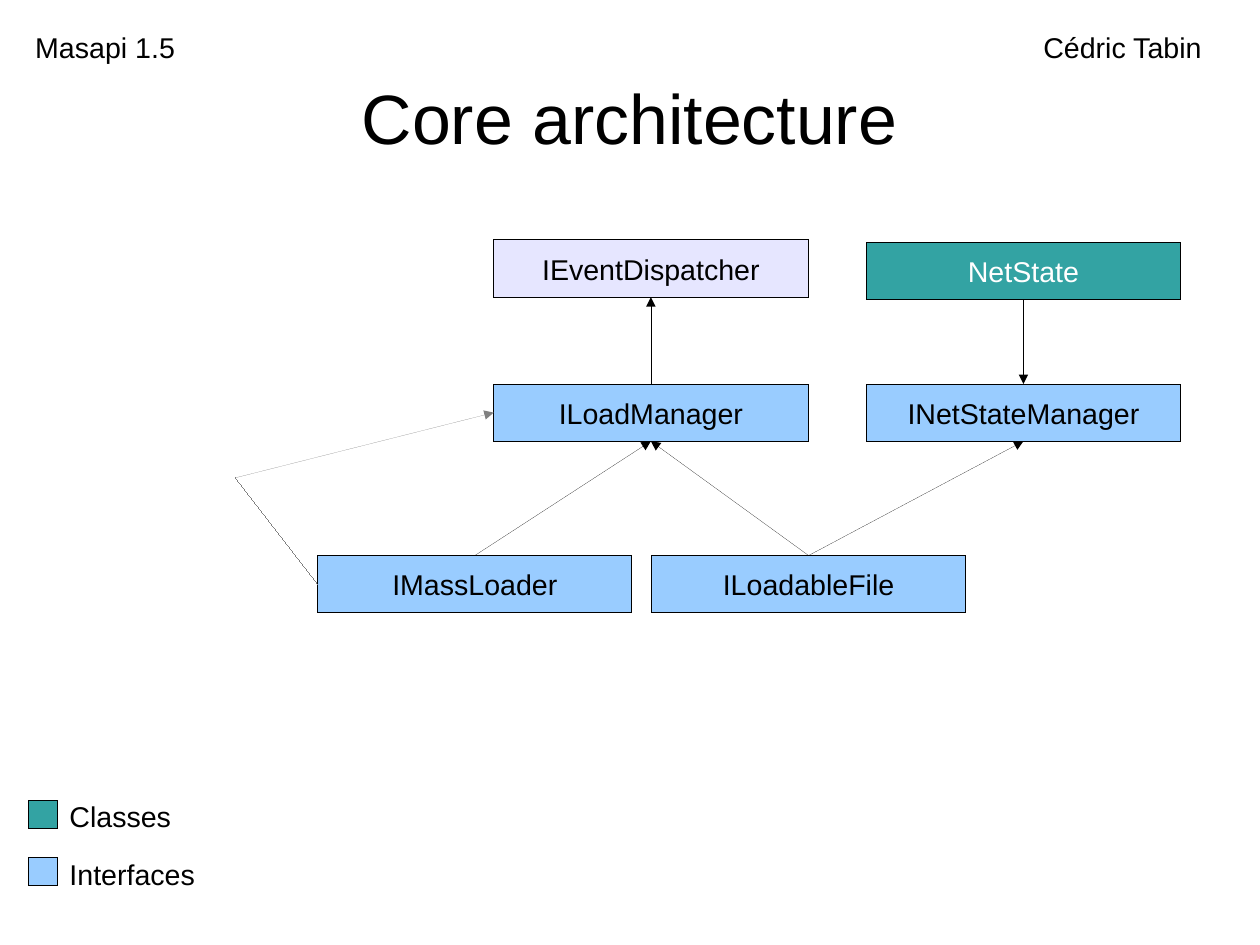
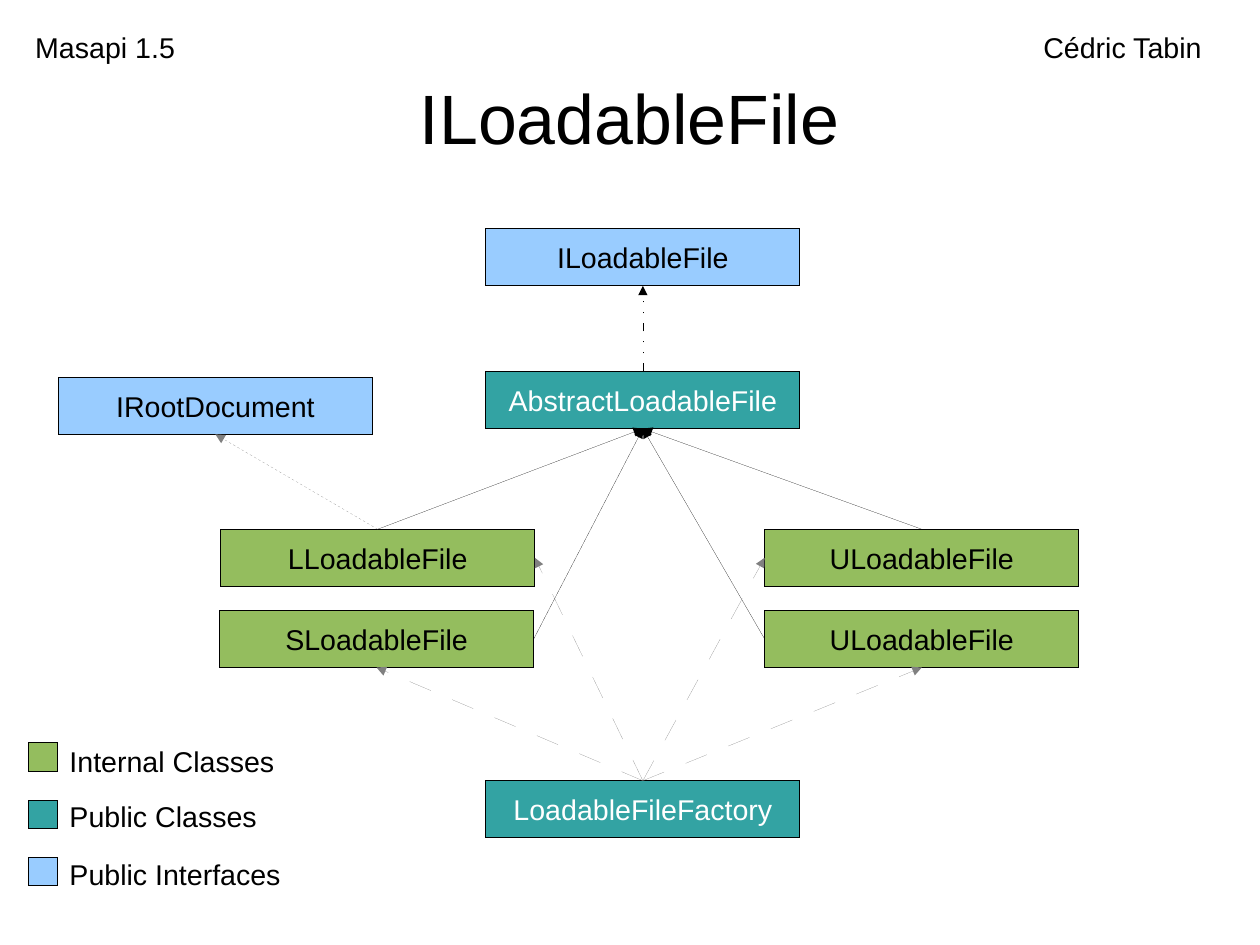
from lxml.etree import SubElement
from pptx import Presentation
from pptx.dml.color import RGBColor
from pptx.enum.shapes import MSO_CONNECTOR, MSO_SHAPE
from pptx.enum.text import MSO_ANCHOR, PP_ALIGN
from pptx.oxml.ns import qn
from pptx.util import Emu, Pt

PX = 9144  # one px is a hundredth of an inch
SLIDE_WIDTH, SLIDE_HEIGHT = Emu(10080625), Emu(7559675)  # 28 by 21 cm
BOX_WIDTH, BOX_HEIGHT = 275, 50
TEXT_HEIGHT, SWATCH = 38, 25
LEGEND_BOTTOM, LEGEND_STEP = 750, 50
LEGEND_LABEL_TOPS = (745, 694, 646)  # lowest row first
FONT = "Arial"
COLORS = {
    "black": "000000",
    "white": "FFFFFF",
    "grey": "808080",
    "event": "E6E6FF",
    "interface": "99CCFF",
    "public": "33A3A3",
    "internal": "94BD5E",
}
# Dash and gap lengths in percent of the line width
DASHES = {
    "dash_dot_dot": [(700, 800), (100, 800), (100, 800)],
    "dotted": [(200, 200)],
    "long": [(1900, 1900)],
}
TOP, LEFT, BOTTOM, RIGHT = range(4)  # connection sites of a rectangle


def px(*lengths):
    return [length * PX for length in lengths]


def color(name):
    return RGBColor.from_string(COLORS[name])


def set_hairline(shape, name):
    """Colour the outline and return its XML; width 0 must be written out."""
    shape.line.color.rgb = color(name)
    outline = shape.line._get_or_add_ln()
    outline.set("w", "0")
    return outline


def write(shape, text, size=18, name="black", align=PP_ALIGN.LEFT):
    shape.text_frame.word_wrap = True
    paragraph = shape.text_frame.paragraphs[0]
    paragraph.text = text
    paragraph.alignment = align
    paragraph.font.name = FONT
    paragraph.font.size = Pt(size)
    paragraph.font.color.rgb = color(name)


def add_label(slide, text, left, top, width):
    label = slide.shapes.add_textbox(*px(left, top, width, TEXT_HEIGHT))
    write(label, text)


def add_rectangle(slide, fill, left, top, width, height):
    shape = slide.shapes.add_shape(MSO_SHAPE.RECTANGLE, *px(left, top, width, height))
    shape.shadow.inherit = False
    shape.fill.solid()
    shape.fill.fore_color.rgb = color(fill)
    set_hairline(shape, "black")
    return shape


def add_box(slide, text, fill, left, top):
    box = add_rectangle(slide, fill, left, top, BOX_WIDTH, BOX_HEIGHT)
    box.text_frame.vertical_anchor = MSO_ANCHOR.MIDDLE
    text_color = "white" if fill == "public" else "black"
    write(box, text, name=text_color, align=PP_ALIGN.CENTER)
    return box


def add_line(slide, start, end, name="black", dash=None, arrow=True):
    """Each end is a (box, site) pair or an (x, y) point."""
    points = [px(*spot) if isinstance(spot[0], int) else (0, 0) for spot in (start, end)]
    line = slide.shapes.add_connector(MSO_CONNECTOR.STRAIGHT, *points[0], *points[1])
    if not isinstance(start[0], int):
        line.begin_connect(*start)
    if not isinstance(end[0], int):
        line.end_connect(*end)
    outline = set_hairline(line, name)
    if dash:
        pattern = SubElement(outline, qn("a:custDash"))
        for length, gap in DASHES[dash]:
            SubElement(pattern, qn("a:ds"), d=str(length * 1000), sp=str(gap * 1000))
    if arrow:
        SubElement(outline, qn("a:tailEnd"), type="triangle")
    SubElement(line._element.spPr, qn("a:effectLst"))


def add_legend(slide, entries):
    """Stack the entries upwards from the lowest one."""
    rows = zip(reversed(entries), LEGEND_LABEL_TOPS)
    for row, ((text, fill), label_top) in enumerate(rows):
        add_rectangle(slide, fill, 25, LEGEND_BOTTOM - row * LEGEND_STEP, SWATCH, SWATCH)
        add_label(slide, text, 51, label_top, 300)


def add_page(presentation, title, legend):
    slide = presentation.slides.add_slide(presentation.slide_layouts[6])
    # Running header
    add_label(slide, "Masapi 1.5", 21, 21, 175)
    add_label(slide, "Cédric Tabin", 903, 21, 175)
    # Title
    heading = slide.shapes.add_textbox(*px(55, 38, 992, 128))
    frame = heading.text_frame
    frame.margin_left = frame.margin_right = frame.margin_top = frame.margin_bottom = 0
    frame.vertical_anchor = MSO_ANCHOR.MIDDLE
    write(heading, title, size=44, align=PP_ALIGN.CENTER)
    add_legend(slide, legend)
    return slide


def build_core_architecture(presentation):
    slide = add_page(presentation, "Core architecture",
                     [("Classes", "public"), ("Interfaces", "interface")])
    # Boxes
    dispatcher = add_box(slide, "IEventDispatcher", "event", 432, 210)
    net_state = add_box(slide, "NetState", "public", 758, 212)
    load_manager = add_box(slide, "ILoadManager", "interface", 432, 336)
    net_manager = add_box(slide, "INetStateManager", "interface", 758, 336)
    mass_loader = add_box(slide, "IMassLoader", "interface", 278, 486)
    loadable_file = add_box(slide, "ILoadableFile", "interface", 570, 486)
    # Arrows
    add_line(slide, (load_manager, TOP), (dispatcher, BOTTOM))
    add_line(slide, (net_state, BOTTOM), (net_manager, TOP))
    add_line(slide, (mass_loader, TOP), (load_manager, BOTTOM))
    for manager in (load_manager, net_manager):
        add_line(slide, (loadable_file, TOP), (manager, BOTTOM))
    # Bent grey arrow
    bend = (206, 418)
    add_line(slide, (mass_loader, LEFT), bend, "grey", arrow=False)
    add_line(slide, bend, (load_manager, LEFT), "grey")


def build_loadable_file(presentation):
    slide = add_page(presentation, "ILoadableFile",
                     [("Internal Classes", "internal"), ("Public Classes", "public"),
                      ("Public Interfaces", "interface")])
    # Boxes
    interface = add_box(slide, "ILoadableFile", "interface", 425, 200)
    abstract = add_box(slide, "AbstractLoadableFile", "public", 425, 325)
    root_document = add_box(slide, "IRootDocument", "interface", 51, 330)
    upper_left = add_box(slide, "LLoadableFile", "internal", 193, 463)
    lower_left = add_box(slide, "SLoadableFile", "internal", 192, 534)
    upper_right = add_box(slide, "ULoadableFile", "internal", 669, 463)
    lower_right = add_box(slide, "ULoadableFile", "internal", 669, 534)
    factory = add_box(slide, "LoadableFileFactory", "public", 425, 683)
    # Inheritance
    add_line(slide, (abstract, TOP), (interface, BOTTOM), dash="dash_dot_dot")
    for start in ((upper_left, TOP), (lower_left, RIGHT),
                  (upper_right, TOP), (lower_right, LEFT)):
        add_line(slide, start, (abstract, BOTTOM))
    add_line(slide, (upper_left, TOP), (root_document, BOTTOM), "grey", "dotted")
    # Creation by the factory
    for end in ((lower_left, BOTTOM), (lower_right, BOTTOM),
                (upper_right, LEFT), (upper_left, RIGHT)):
        add_line(slide, (factory, TOP), end, "grey", "long")


def main():
    presentation = Presentation()
    presentation.slide_width = SLIDE_WIDTH
    presentation.slide_height = SLIDE_HEIGHT
    build_core_architecture(presentation)
    build_loadable_file(presentation)
    presentation.save("out.pptx")


if __name__ == "__main__":
    main()
